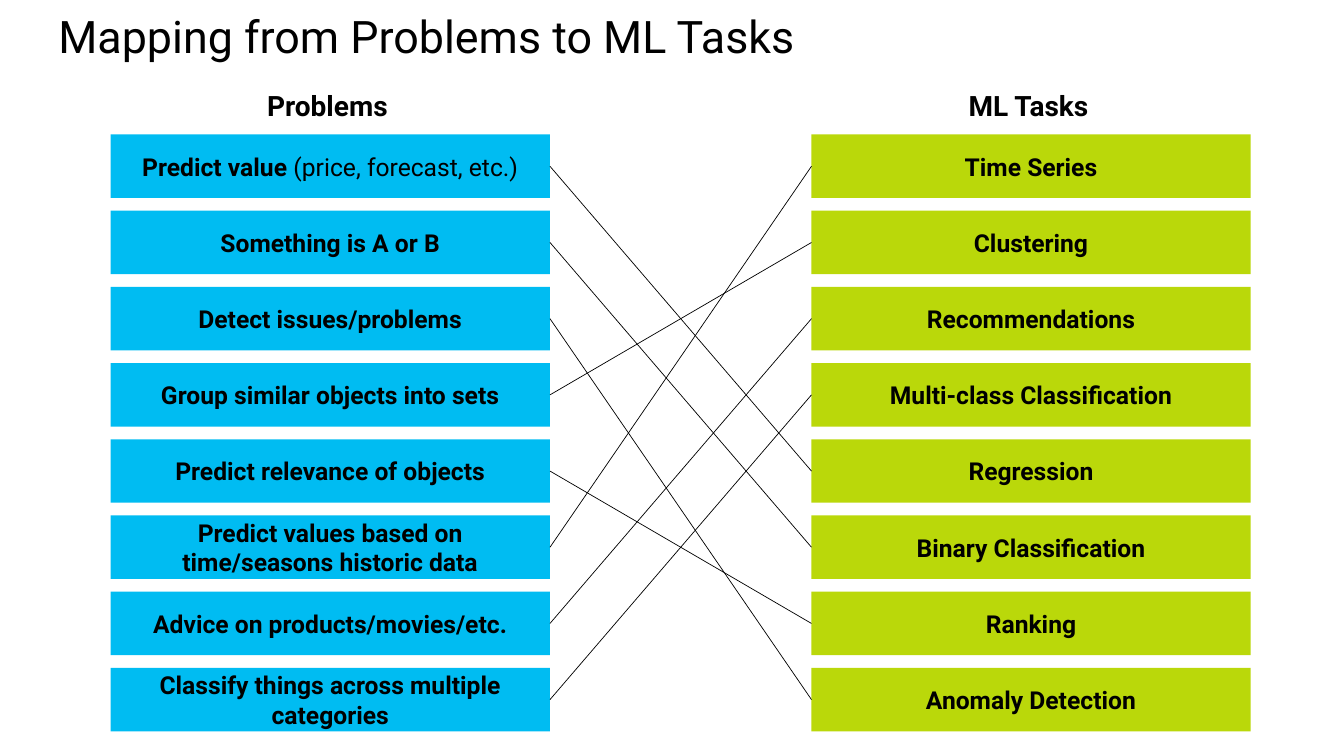
from lxml import etree
from pptx import Presentation
from pptx.dml.color import RGBColor
from pptx.enum.shapes import MSO_CONNECTOR as CONN, MSO_SHAPE as SHAPE
from pptx.enum.text import MSO_ANCHOR as ANCHOR, MSO_AUTO_SIZE as AUTOSIZE, PP_ALIGN as ALIGN
from pptx.oxml.ns import qn
from pptx.util import Cm, Pt

COLORS = {"text": "000000", "problem": "00BCF2", "task": "BAD80A", "line": "000000"}

# Each problem: its runs as (text, bold), and the task that solves it
PROBLEMS = [
    ([("Predict value", True), (" (price, forecast, etc.)", False)], "Regression"),
    ([("Something is A or B", True)], "Binary Classification"),
    ([("Detect issues/problems", True)], "Anomaly Detection"),
    ([("Group similar objects into sets", True)], "Clustering"),
    ([("Predict relevance of objects", True)], "Ranking"),
    ([("Predict values based on time/seasons historic data", True)], "Time Series"),
    ([("Advice on products/movies/etc.", True)], "Recommendations"),
    ([("Classify things across multiple categories", True)], "Multi-class Classification"),
]
TASKS = ["Time Series", "Clustering", "Recommendations", "Multi-class Classification",
         "Regression", "Binary Classification", "Ranking", "Anomaly Detection"]

PROBLEM_X, TASK_X = 2.79, 20.45
BOX_W, BOX_H = 11.07, 1.6
FIRST_Y, PITCH = 3.39, 1.92


class SlideBuilder:
    """Holds the style and the current slide; lengths are in centimetres."""

    font = "Roboto"

    def __init__(self, prs):
        self.s = prs.slides.add_slide(prs.slide_layouts[6])

    def color(self, name):
        return RGBColor.from_string(COLORS[name])

    def runs(self, p, parts, size):
        for text, bold in parts:
            r = p.add_run()
            r.text = text
            r.font.name = self.font
            r.font.size = Pt(size)
            r.font.bold = bold
            r.font.color.rgb = self.color("text")

    def text(self, x, y, w, h, parts, size, wrap=True):
        sp = self.s.shapes.add_textbox(Cm(x), Cm(y), Cm(w), Cm(h))
        tf = sp.text_frame
        tf.word_wrap = wrap
        self.runs(tf.paragraphs[0], parts, size)
        return tf

    def title(self, text):
        tf = self.text(1.22, 0, 29.87, 1.98, [(text, False)], 32)
        tf.vertical_anchor = ANCHOR.MIDDLE
        tf.paragraphs[0].line_spacing = 0.9

    def heading(self, x, w, text):
        tf = self.text(x, 2.11, w, 1.12, [(text, True)], 20, wrap=False)
        tf.auto_size = AUTOSIZE.SHAPE_TO_FIT_TEXT

    def box(self, x, y, parts, fill):
        sp = self.s.shapes.add_shape(SHAPE.RECTANGLE, Cm(x), Cm(y), Cm(BOX_W), Cm(BOX_H))
        sp.shadow.inherit = False
        sp.fill.solid()
        sp.fill.fore_color.rgb = self.color(fill)
        sp.line.fill.background()
        tf = sp.text_frame
        tf.word_wrap = True
        tf.vertical_anchor = ANCHOR.MIDDLE
        tf.margin_left = tf.margin_right = Cm(0.5)
        p = tf.paragraphs[0]
        p.alignment = ALIGN.CENTER
        self.runs(p, parts, 17.6)
        return sp

    def link(self, start, end):
        """Joins the right side of one box to the left side of another."""
        line = self.s.shapes.add_connector(CONN.STRAIGHT, 0, 0, 0, 0)
        line.begin_connect(start, 3)
        line.end_connect(end, 1)
        line.line.color.rgb = self.color("line")
        line.line.width = Pt(0.5)
        etree.SubElement(line._element.spPr, qn("a:effectLst"))


def main():
    prs = Presentation()
    prs.slide_width, prs.slide_height = Cm(33.87), Cm(19.05)
    slide = SlideBuilder(prs)

    slide.title("Mapping from Problems to ML Tasks")
    slide.heading(6.48, 3.66, "Problems")
    slide.heading(24.16, 3.61, "ML Tasks")

    problem_boxes = [slide.box(PROBLEM_X, FIRST_Y + i * PITCH, parts, "problem")
                     for i, (parts, _) in enumerate(PROBLEMS)]
    task_boxes = {task: slide.box(TASK_X, FIRST_Y + i * PITCH, [(task, True)], "task")
                  for i, task in enumerate(TASKS)}
    for problem_box, (_, task) in zip(problem_boxes, PROBLEMS):
        slide.link(problem_box, task_boxes[task])

    prs.save("out.pptx")


if __name__ == "__main__":
    main()
